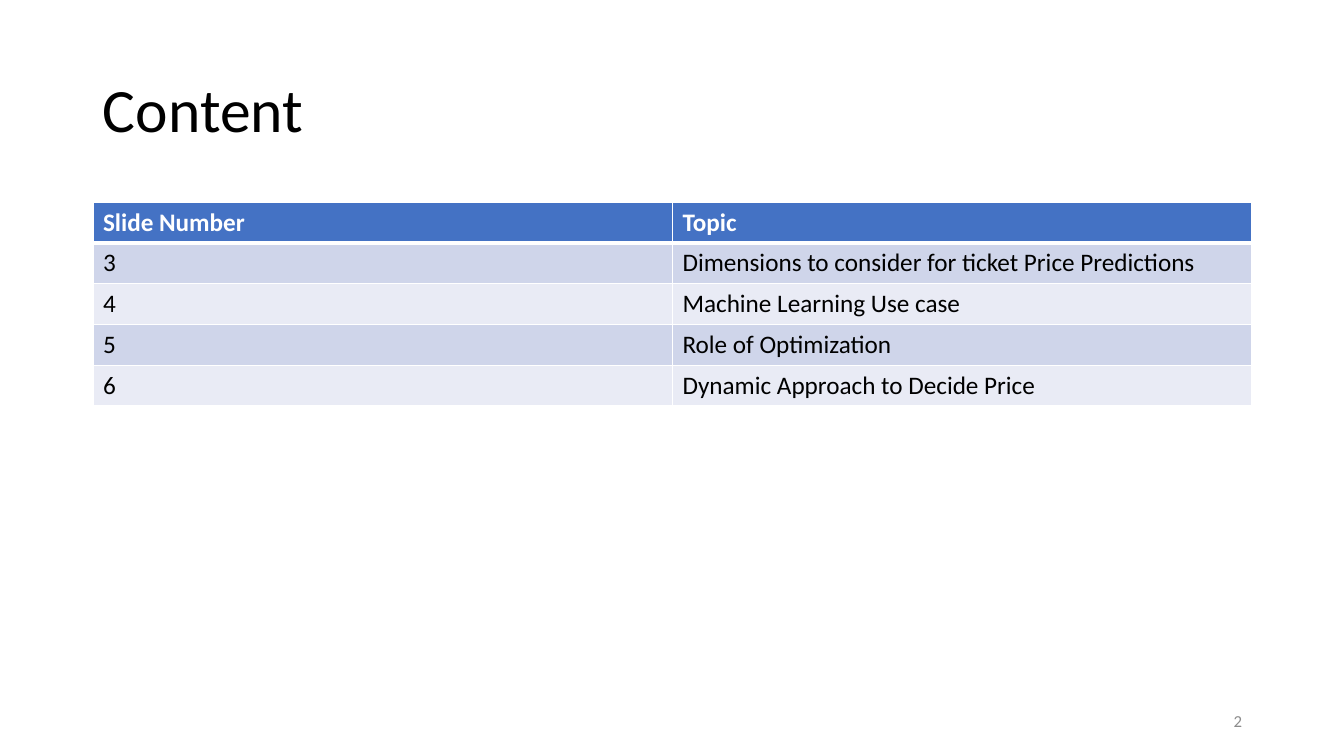
from lxml.etree import SubElement
from pptx import Presentation
from pptx.dml.color import RGBColor
from pptx.enum.text import MSO_ANCHOR as Anchor, PP_ALIGN as Align
from pptx.oxml.ns import qn
from pptx.util import Emu, Pt

TOPICS = [
    ("Slide Number", "Topic"),
    ("3", "Dimensions to consider for ticket Price Predictions"),
    ("4", "Machine Learning Use case"),
    ("5", "Role of Optimization"),
    ("6", "Dynamic Approach to Decide Price"),
]
HEADER_FILL = "4472C4"
BAND_FILLS = ("E9EBF5", "CFD5EA")
WHITE, BLACK, GREY = "FFFFFF", "000000", "8C8C8C"


def px(length):
    """Turn whole pixels into EMU."""
    return Emu(round(length * 914400 / 100.8))


def color(code):
    """Turn a hex string into a colour."""
    return RGBColor.from_string(code)


def write(frame, wording, size, ink, bold=False):
    """Set the wording of a text frame and format it."""
    frame.text = wording
    paragraph = frame.paragraphs[0]
    font = paragraph.runs[0].font
    font.name, font.size, font.bold = "Calibri", Pt(size), bold
    font.color.rgb = color(ink)
    return paragraph


def add_label(slide, box, wording, size, ink, align=Align.LEFT):
    """Add a vertically centred line of text in a box."""
    frame = slide.shapes.add_textbox(*map(px, box)).text_frame
    frame.word_wrap = True
    frame.vertical_anchor = Anchor.MIDDLE
    paragraph = write(frame, wording, size, ink)
    paragraph.alignment = align
    return paragraph


def add_border(cell, side, width):
    """Draw a white line on one side of a cell."""
    line = SubElement(cell._tc.get_or_add_tcPr(), qn(f"a:ln{side}"), w=str(Pt(width)))
    fill = SubElement(line, qn("a:solidFill"))
    SubElement(fill, qn("a:srgbClr"), val=WHITE)


def add_contents(slide, box):
    """Add the table of slide numbers and topics, with equal rows and columns."""
    left, top, width, height = map(px, box)
    table = slide.shapes.add_table(
        len(TOPICS), len(TOPICS[0]), left, top, width, height).table
    for row, entries in enumerate(TOPICS):
        header = row == 0
        borders = {"L": 1, "R": 1, "T": 3 if row == 1 else 1, "B": 3 if header else 1}
        for column, wording in enumerate(entries):
            cell = table.cell(row, column)
            write(cell.text_frame, wording, 18, WHITE if header else BLACK, header)
            for side, weight in borders.items():
                add_border(cell, side, weight)
            cell.fill.solid()
            cell.fill.fore_color.rgb = color(HEADER_FILL if header else BAND_FILLS[row % 2])


def build_contents_slide(deck):
    """Build the slide that lists the topics."""
    slide = deck.slides.add_slide(deck.slide_layouts[6])
    title = add_label(slide, (93, 40, 1159, 146), "Content", 44, BLACK)
    title.line_spacing = 0.9
    add_contents(slide, (93, 202, 1159, 204))
    add_label(slide, (950, 701, 302, 40), "2", 12, GREY, Align.RIGHT)


deck = Presentation()
deck.slide_width, deck.slide_height = px(1344), px(756)
build_contents_slide(deck)
deck.save("out.pptx")
